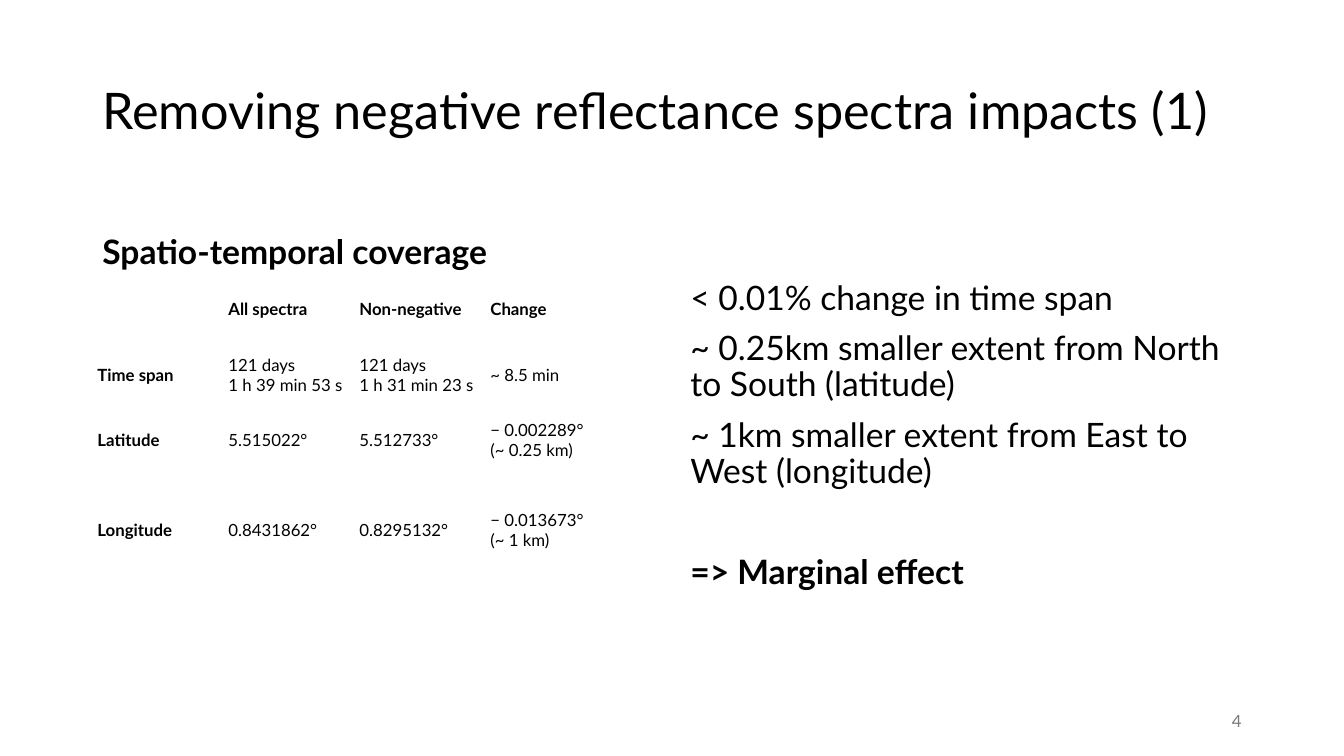
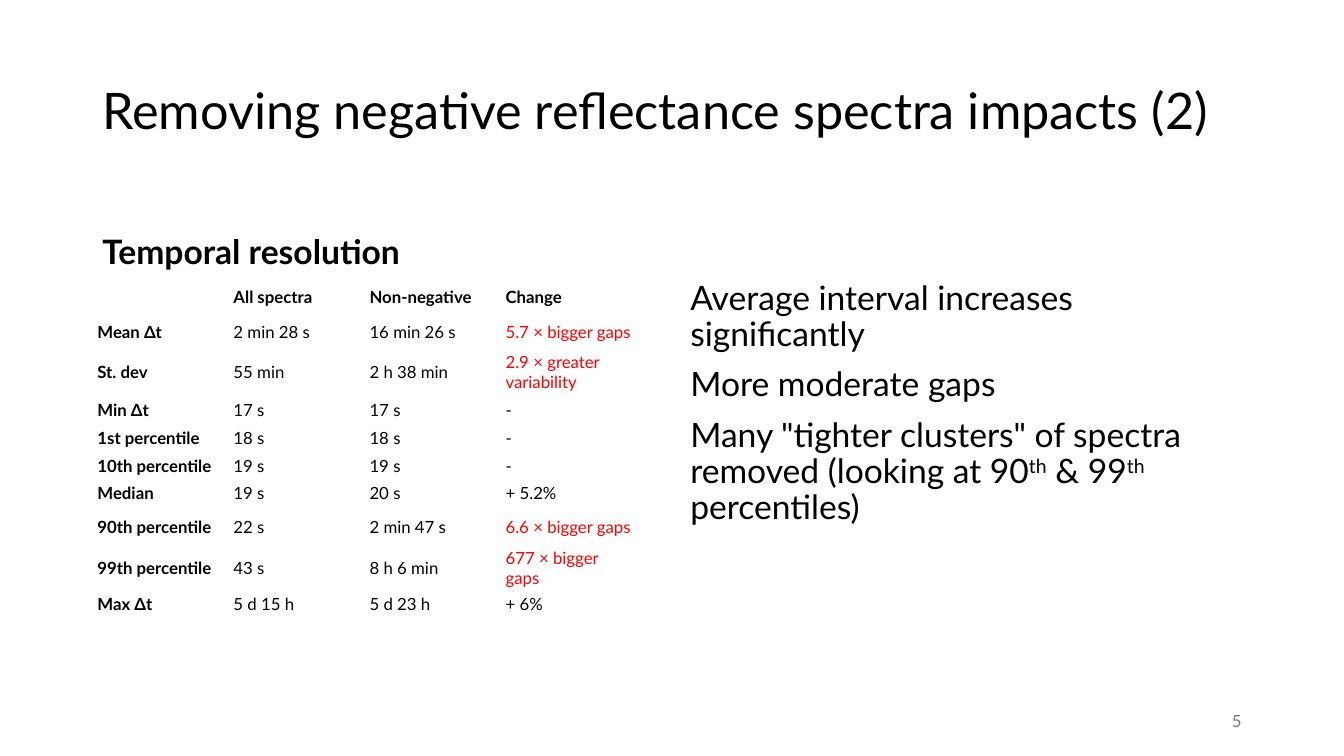
from pptx import Presentation
from pptx.dml.color import RGBColor
from pptx.enum.text import MSO_ANCHOR, PP_ALIGN
from pptx.util import Inches, Pt

# Grid: 160 columns by 90 rows of equal square units
COLUMNS, ROWS = 160, 90
UNIT = Inches(13.333) // COLUMNS
LEFT, CONTENT_TOP = 11, 32.9
FONT = "Lato"
COLORS = {"text": "000000", "worse": "FF0000", "page": "797979"}

SLIDES = [
    {
        "title": "Removing negative reflectance spectra impacts (1)",
        "heading": "Spatio-temporal coverage",
        "column_width": 15.6,
        "row_heights": [7.8, 7.8, 7.8, 13.7],
        "results": [
            ["", "All spectra", "Non-negative", "Change"],
            ["Time span", "121 days\n1 h 39 min 53 s", "121 days\n1 h 31 min 23 s", "~ 8.5 min"],
            ["Latitude", "5.515022°", "5.512733°", "− 0.002289°\n(~ 0.25 km)"],
            ["Longitude", "0.8431862°", "0.8295132°", "− 0.013673°\n(~ 1 km)"],
        ],
        "findings": "< 0.01% change in time span\n"
                    "~ 0.25km smaller extent from North to South (latitude)\n"
                    "~ 1km smaller extent from East to West (longitude)",
        "findings_width": 65.9,
        "conclusion": "=> Marginal effect",
        "page": "4",
    },
    {
        "title": "Removing negative reflectance spectra impacts (2)",
        "heading": "Temporal resolution",
        "column_width": 16.2,
        "row_heights": [4.8, 3.7, 5.8, 3.3, 3.3, 3.3, 3.3, 4.6, 4.9, 3.3],
        "results": [
            ["", "All spectra", "Non-negative", "Change"],
            ["Mean Δt", "2 min 28 s", "16 min 26 s", "5.7 × bigger gaps"],
            ["St. dev", "55 min", "2 h 38 min", "2.9 × greater variability"],
            ["Min Δt", "17 s", "17 s", "-"],
            ["1st percentile", "18 s", "18 s", "-"],
            ["10th percentile", "19 s", "19 s", "-"],
            ["Median", "19 s", "20 s", "+ 5.2%"],
            ["90th percentile", "22 s", "2 min 47 s", "6.6 × bigger gaps"],
            ["99th percentile", "43 s", "8 h 6 min", "677 × bigger gaps"],
            ["Max Δt", "5 d 15 h", "5 d 23 h", "+ 6%"],
        ],
        "findings": "Average interval increases significantly\n"
                    "More moderate gaps\n"
                    'Many "tighter clusters" of spectra removed '
                    "(looking at 90^th^ & 99^th^ percentiles)",
        "findings_width": 68,
        "conclusion": None,
        "page": "5",
    },
]


def write(frame, text, size=24, bold=False, color="text", align=PP_ALIGN.LEFT,
          line_spacing=0.9, gap=10, extend=False):
    """Write one paragraph per line; text between ^ marks is superscript."""
    for index, line in enumerate(text.split("\n")):
        first = index == 0 and not extend
        paragraph = frame.paragraphs[0] if first else frame.add_paragraph()
        paragraph.alignment = align
        paragraph.line_spacing = line_spacing
        paragraph.space_before = Pt(0 if first else gap)
        for part, piece in enumerate(line.split("^")):
            run = paragraph.add_run()
            run.text = piece
            run.font.name, run.font.size, run.font.bold = FONT, Pt(size), bold
            run.font.color.rgb = RGBColor.from_string(COLORS[color])
            if part % 2:
                run._r.get_or_add_rPr().set("baseline", "30000")


def add_frame(slide, left, top, width, height, anchor):
    area = [round(length * UNIT) for length in (left, top, width, height)]
    frame = slide.shapes.add_textbox(*area).text_frame
    frame.word_wrap = True
    frame.vertical_anchor = anchor
    return frame


presentation = Presentation()
presentation.slide_width = COLUMNS * UNIT
presentation.slide_height = ROWS * UNIT

for content in SLIDES:
    slide = presentation.slides.add_slide(presentation.slide_layouts[6])

    # Title and section heading
    title = add_frame(slide, LEFT, 4.8, 138, 17.4, MSO_ANCHOR.MIDDLE)
    write(title, content["title"], size=36)
    heading = add_frame(slide, LEFT, 22.1, 67.7, 10.8, MSO_ANCHOR.BOTTOM)
    write(heading, content["heading"], bold=True)

    # Results table
    results, heights = content["results"], content["row_heights"]
    column_count = len(results[0])
    area = (LEFT, CONTENT_TOP, column_count * content["column_width"], sum(heights))
    table = slide.shapes.add_table(
        len(results), column_count, *[round(length * UNIT) for length in area]).table
    table.first_row = table.horz_banding = False
    for column in table.columns:
        column.width = round(content["column_width"] * UNIT)
    for r, (entries, height) in enumerate(zip(results, heights)):
        table.rows[r].height = round(height * UNIT)
        for c, entry in enumerate(entries):
            cell = table.cell(r, c)
            cell.fill.background()
            cell.vertical_anchor = MSO_ANCHOR.MIDDLE
            cell.margin_left = cell.margin_right = Inches(0.05)
            cell.margin_top = cell.margin_bottom = Inches(0.02)
            write(cell.text_frame, entry, size=12, bold=r == 0 or c == 0,
                  color="worse" if "×" in entry else "text", line_spacing=1, gap=0)

    # Findings
    findings = add_frame(slide, 81, CONTENT_TOP, content["findings_width"], 48.4, MSO_ANCHOR.TOP)
    write(findings, content["findings"])
    if content["conclusion"]:
        write(findings, content["conclusion"], bold=True, gap=46, extend=True)

    # Page number
    page = add_frame(slide, 113, 83.4, 36, 4.8, MSO_ANCHOR.MIDDLE)
    write(page, content["page"], size=12, color="page", align=PP_ALIGN.RIGHT, line_spacing=1)

presentation.save("out.pptx")
